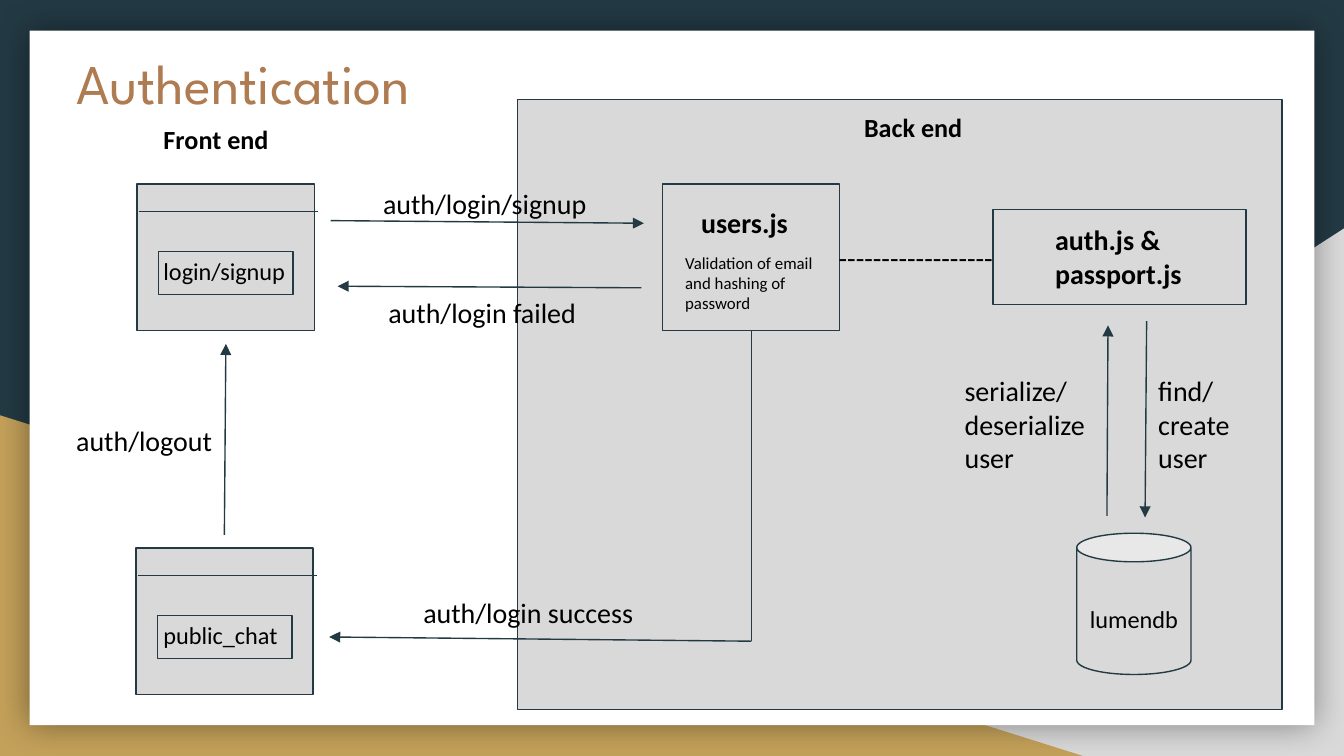
"""Build the authentication flow slide."""
from lxml.etree import SubElement
from pptx import Presentation
from pptx.dml.color import RGBColor
from pptx.enum.shapes import MSO_CONNECTOR, MSO_SHAPE
from pptx.oxml.ns import qn
from pptx.util import Cm, Pt

COLORS = {
    "navy": "233A44",
    "gold": "C4A15A",
    "gray": "D9D9D9",
    "white": "FFFFFF",
    "black": "000000",
    "copper": "AF7B51",
}


def add_block(preset, left, top, width, height, fill="gray", outlined=True):
    block = slide.shapes.add_shape(preset, Cm(left), Cm(top), Cm(width), Cm(height))
    block.shadow.inherit = False
    block.fill.solid()
    block.fill.fore_color.rgb = RGBColor.from_string(COLORS[fill])
    if outlined:
        block.line.color.rgb = RGBColor.from_string(COLORS["navy"])
        block.line.width = Pt(0.75)
    else:
        block.line.fill.background()
    return block


def add_link(x1, y1, x2, y2, arrow=True):
    link = slide.shapes.add_connector(
        MSO_CONNECTOR.STRAIGHT, Cm(x1), Cm(y1), Cm(x2), Cm(y2)
    )
    link.line.color.rgb = RGBColor.from_string(COLORS["navy"])
    link.line.width = Pt(0.75)
    if arrow:
        SubElement(link.line._get_or_add_ln(), qn("a:tailEnd"), type="triangle", w="med", len="med")
    SubElement(link._element.spPr, qn("a:effectLst"))


presentation = Presentation()
presentation.slide_width = Cm(25.4)
presentation.slide_height = Cm(14.29)
slide = presentation.slides.add_slide(presentation.slide_layouts[6])
slide.background.fill.solid()
slide.background.fill.fore_color.rgb = RGBColor.from_string(COLORS["navy"])

gray_corner = add_block(MSO_SHAPE.RIGHT_TRIANGLE, 9.96, 4.32, 15.44, 9.97, outlined=False)
gray_corner._element.spPr.xfrm.set("flipH", "1")
add_block(MSO_SHAPE.RIGHT_TRIANGLE, 0, 7.85, 20.47, 6.44, "gold", False)
page = add_block(MSO_SHAPE.RECTANGLE, 0.56, 0.58, 24.28, 13.13, "white", False)
page_effects = page._element.spPr.find(qn("a:effectLst"))
page_shadow = SubElement(
    page_effects, qn("a:outerShdw"), blurRad=str(Pt(18)), dist="0", dir="0", algn="ctr", rotWithShape="0"
)
shadow_color = SubElement(page_shadow, qn("a:srgbClr"), val=COLORS["black"])
SubElement(shadow_color, qn("a:alpha"), val="40000")

add_block(MSO_SHAPE.RECTANGLE, 9.78, 1.88, 14.45, 11.53)
for left, top in [(2.59, 3.48), (2.57, 10.36)]:
    add_block(MSO_SHAPE.RECTANGLE, left, top, 3.35, 2.77)
    add_link(left + 0.03, top + 0.52, left + 3.42, top + 0.52, arrow=False)
    add_block(MSO_SHAPE.RECTANGLE, left + 0.41, top + 1.28, 2.54, 0.81)
add_block(MSO_SHAPE.RECTANGLE, 12.52, 3.48, 3.35, 2.77)
add_block(MSO_SHAPE.RECTANGLE, 18.77, 3.96, 4.78, 1.8)
add_block(MSO_SHAPE.CAN, 20.35, 10.08, 2.16, 2.67)

for route in [
    (6.25, 4.17, 12.17, 4.22),
    (12.12, 5.44, 6.38, 5.41),
    (21.67, 6.07, 21.64, 9.78),
    (20.92, 9.75, 20.94, 6.15),
    (4.24, 10.11, 4.27, 6.5),
    (14.2, 12.12, 6.22, 12.04),
]:
    add_link(*route)
add_link(14.2, 6.25, 14.2, 12.12, arrow=False)

labels = [
    (["users.js"], 13, 3.63, 2.16, 1.12, 15, True),
    (["auth.js &", "passport.js"], 19.69, 3.96, 3.23, 1.63, 15, True),
    (["login/signup"], 2.84, 4.6, 2.95, 1.12, 13, False),
    (["lumendb"], 20.35, 11.18, 2.95, 1.12, 13, False),
    (["public_chat"], 2.84, 11.48, 2.95, 1.12, 13, False),
    (["------------------"], 15.6, 4.29, 3.68, 1.12, 15, False),
    (["find/", "create user"], 21.64, 6.81, 2.16, 2.24, 15, False),
    (["serialize/", "deserialize user"], 17.98, 6.81, 2.95, 2.24, 15, False),
    (["auth/login/signup"], 6.99, 3.28, 5.03, 1.12, 15, False),
    (["auth/login failed"], 7.09, 5.33, 4.78, 1.12, 15, False),
    (["auth/login success"], 7.75, 11, 4.78, 1.12, 15, False),
    (["auth/logout"], 1.19, 7.75, 3.23, 1.12, 15, False),
    (["Validation of email and hashing of password"], 12.7, 4.52, 3.38, 1.3, 9, False),
    (["Authentication"], 1.19, 0.66, 7.52, 1.63, 30, False),
    (["Front end"], 2.84, 2.11, 2.95, 0.48, 14, True),
    (["Back end"], 16.08, 1.88, 2.95, 0.48, 14, True),
]
for lines, left, top, width, height, size, bold in labels:
    is_title = lines == ["Authentication"]
    label = slide.shapes.add_textbox(Cm(left), Cm(top), Cm(width), Cm(height))
    frame = label.text_frame
    frame.word_wrap = True
    frame.margin_left = frame.margin_right = Cm(0.25)
    frame.margin_top = frame.margin_bottom = Cm(0.25)
    for index, line in enumerate(lines):
        paragraph = frame.add_paragraph() if index else frame.paragraphs[0]
        run = paragraph.add_run()
        run.text = line
        run.font.name = "League Spartan" if is_title else "Calibri"
        run.font.size = Pt(size)
        run.font.bold = bold
        run.font.color.rgb = RGBColor.from_string(COLORS["copper" if is_title else "black"])

presentation.save("out.pptx")
